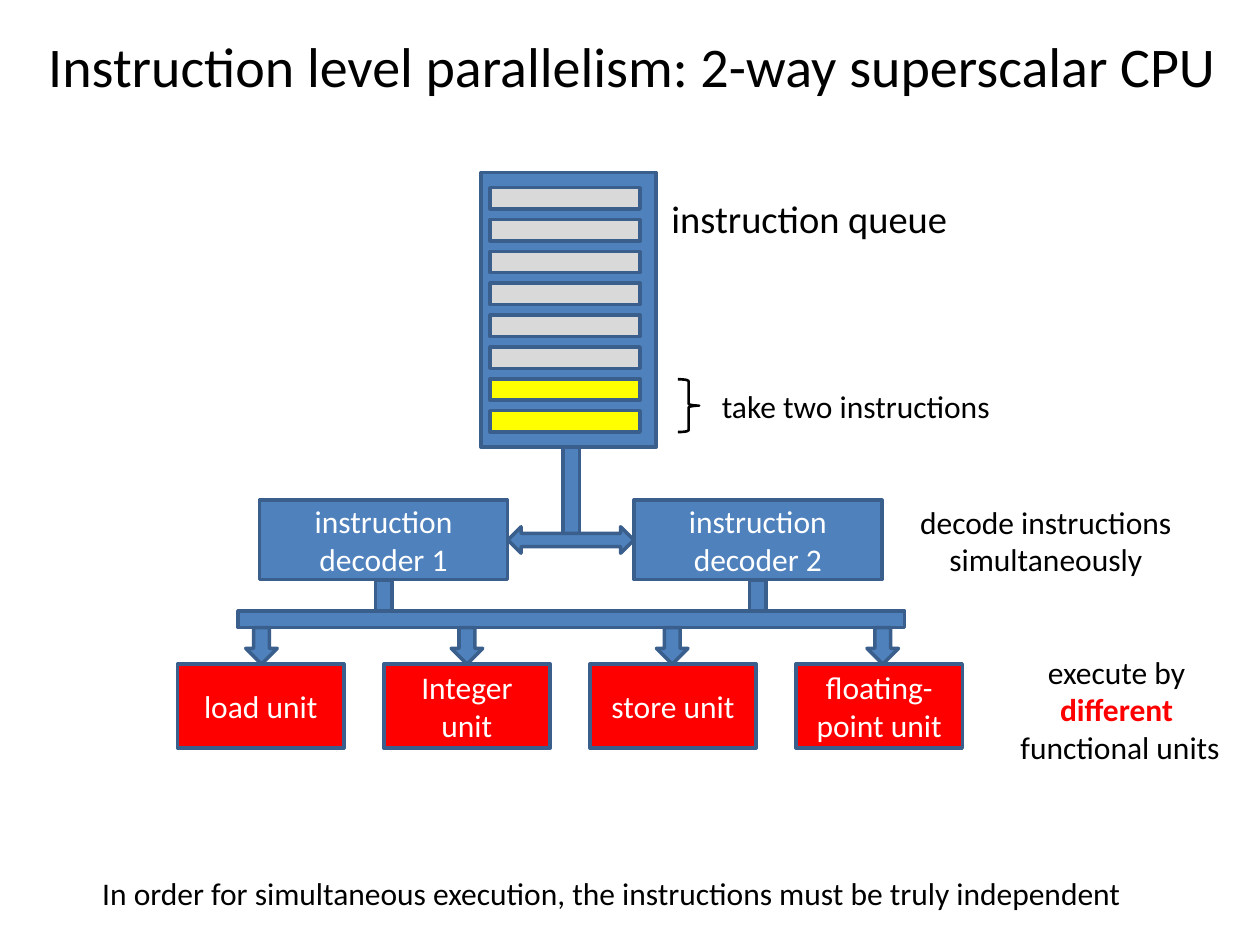
from pptx import Presentation
from pptx.dml.color import RGBColor
from pptx.enum import shapes, text
from pptx.util import Pt

COLORS = {"blue": "4F81BD", "edge": "3A5F8C", "waiting": "D9D9D9", "taken": "FFFF00",
          "unit": "FF0000", "ink": "000000", "white": "FFFFFF"}
FONT = "Calibri"
KIND = shapes.MSO_SHAPE


def color(name):
    return RGBColor.from_string(COLORS[name])


def place(shape, box):
    shape.left, shape.top, shape.width, shape.height = (Pt(v) for v in box)


def write(frame, lines, size, ink, align):
    frame.text = "\n".join(lines)
    for paragraph in frame.paragraphs:
        paragraph.alignment = align
        for run in paragraph.runs:
            run.font.name = FONT
            run.font.size = Pt(size)
            run.font.color.rgb = color(ink)


def add_block(slide, box, fill="blue", kind=KIND.RECTANGLE, lines=()):
    """Outlined filled shape, with centred white text if lines are given."""
    block = slide.shapes.add_shape(kind, *(Pt(v) for v in box))
    block.shadow.inherit = False
    block.fill.solid()
    block.fill.fore_color.rgb = color(fill)
    block.line.color.rgb = color("edge")
    block.line.width = Pt(2)
    if lines:
        block.text_frame.word_wrap = True
        block.text_frame.vertical_anchor = text.MSO_ANCHOR.MIDDLE
        write(block.text_frame, lines, 18, "white", text.PP_ALIGN.CENTER)


def add_note(slide, box, lines, size=18, align=text.PP_ALIGN.CENTER):
    frame = slide.shapes.add_textbox(*(Pt(v) for v in box)).text_frame
    frame.word_wrap = False
    frame.auto_size = text.MSO_AUTO_SIZE.SHAPE_TO_FIT_TEXT
    write(frame, lines, size, "ink", align)
    return frame


def add_title(slide, words):
    title = slide.shapes.title
    place(title, (12.2, 12.2, 698.4, 50.4))
    title.text_frame.vertical_anchor = text.MSO_ANCHOR.MIDDLE
    write(title.text_frame, [words], 32, "ink", text.PP_ALIGN.CENTER)


def add_queue(slide):
    add_block(slide, (275, 98.6, 100, 157))
    for slot in range(8):
        add_block(slide, (280.1, 107.3 + 18.2 * slot, 85.7, 12.2),
                  "waiting" if slot < 6 else "taken")
    add_note(slide, (376.6, 108, 173.5, 33.8), ["instruction queue"], 22, text.PP_ALIGN.LEFT)

    brace = slide.shapes.add_shape(KIND.RIGHT_BRACE, Pt(387.4), Pt(216.7), Pt(12.2), Pt(30.2))
    brace.shadow.inherit = False
    brace.fill.background()
    brace.line.color.rgb = color("ink")
    brace.line.width = Pt(1.5)
    add_note(slide, (405.4, 217.4, 169.2, 28.8), ["take two instructions"],
             align=text.PP_ALIGN.LEFT)


def add_decoders(slide):
    add_block(slide, (321.8, 255.6, 9.4, 53.3))
    add_block(slide, (290.2, 301, 72, 15.1), kind=KIND.LEFT_RIGHT_ARROW)
    for number, left in enumerate((148.3, 362.2), 1):
        add_block(slide, (left, 285.8, 141.8, 45.4),
                  lines=["instruction", f"decoder {number}"])
        add_block(slide, (left + 66.2, 331.5, 9.4, 18))
    add_note(slide, (517.7, 283.7, 159.8, 51.1), ["decode instructions", "simultaneously"])


def add_units(slide):
    add_block(slide, (136.1, 349.2, 380.9, 9.4))
    units = ["load unit", "Integer unit", "store unit", "floating-point unit"]
    arrow_lefts = [140.4, 257.8, 375.1, 495.4]
    for column, (unit, arrow_left) in enumerate(zip(units, arrow_lefts)):
        add_block(slide, (101.5 + 117.8 * column, 379.4, 95, 48.2), "unit", lines=[unit])
        add_block(slide, (arrow_left, 358.6, 18, 20.9), kind=KIND.DOWN_ARROW)
    execute = add_note(slide, (575.3, 369.4, 129.6, 72.7),
                       ["execute by ", "different ", "functional units"])
    emphasis = execute.paragraphs[1].runs[0].font
    emphasis.bold = True
    emphasis.color.rgb = color("unit")


def main():
    deck = Presentation()
    deck.slide_width, deck.slide_height = Pt(720), Pt(540)
    slide = deck.slides.add_slide(deck.slide_layouts[5])
    add_title(slide, "Instruction level parallelism: 2-way superscalar CPU")
    add_queue(slide)
    add_decoders(slide)
    add_units(slide)
    add_note(slide, (47.5, 496.1, 604.1, 28.8),
             ["In order for simultaneous execution, the instructions must be truly independent"])
    deck.save("out.pptx")


if __name__ == "__main__":
    main()
